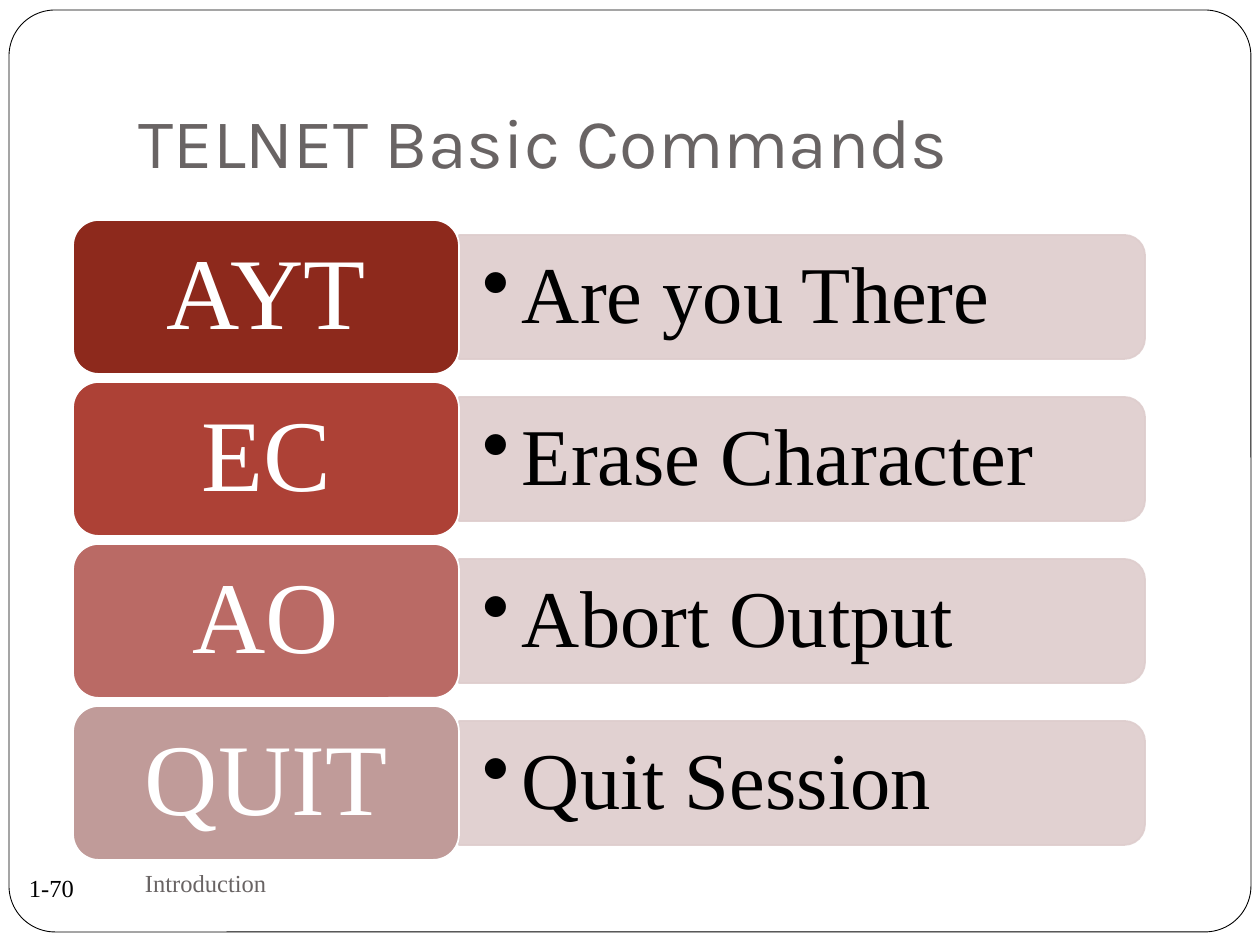
"""Build the TELNET basic commands slide."""
from lxml import etree
from pptx import Presentation
from pptx.dml.color import RGBColor
from pptx.enum.shapes import MSO_SHAPE
from pptx.enum.text import MSO_ANCHOR, PP_ALIGN
from pptx.oxml.ns import qn
from pptx.util import Emu, Pt

ROUNDED = MSO_SHAPE.ROUNDED_RECTANGLE
ROUNDED_END = MSO_SHAPE.ROUND_2_SAME_RECTANGLE
ELLIPSE = MSO_SHAPE.OVAL
MIDDLE, BOTTOM = MSO_ANCHOR.MIDDLE, MSO_ANCHOR.BOTTOM
LEFT, CENTER = PP_ALIGN.LEFT, PP_ALIGN.CENTER

PX = 914400 / 126
THEME = {
    "white": "FFFFFF", "black": "000000", "gray": "696464", "bar": "DECDCD",
    "title_font": "Karla", "body_font": "Times New Roman",
    "title": 40, "label": 58, "meaning": 46, "footer": 14,
}
COMMANDS = [
    ("AYT", "Are you There", "8D291C"),
    ("EC", "Erase Character", "AD4136"),
    ("AO", "Abort Output", "BA6A65"),
    ("QUIT", "Quit Session", "C09B99"),
]
FIRST_CENTER, PITCH = 297, 162
LABEL_LEFT, LABEL_WIDTH, LABEL_HEIGHT = 73, 386, 154
BAR_LEFT, BAR_LENGTH, BAR_HEIGHT = LABEL_LEFT + LABEL_WIDTH, 686, 124
MEANING_WIDTH, MEANING_HEIGHT = 680, 110


def add_box(page, kind, bounds, fill=None, line=None, weight=1):
    place = [Emu(round(value * PX)) for value in bounds]
    if kind is None:
        return page.shapes.add_textbox(*place)
    box = page.shapes.add_shape(kind, *place)
    box.shadow.inherit = False
    if fill:
        box.fill.solid()
        box.fill.fore_color.rgb = RGBColor.from_string(fill)
    else:
        box.fill.background()
    if line:
        box.line.color.rgb = RGBColor.from_string(line)
        box.line.width = Pt(weight)
    else:
        box.line.fill.background()
    return box


def write(box, text, role, color, insets, font="body_font", anchor=MIDDLE,
          align=LEFT, spacing=1.0, wrap=True, hanging=0):
    frame = box.text_frame
    sides = ("margin_left", "margin_top", "margin_right", "margin_bottom")
    layout = {side: Emu(round(value * PX)) for side, value in zip(sides, insets)}
    layout.update(word_wrap=wrap, vertical_anchor=anchor)
    for name, value in layout.items():
        setattr(frame, name, value)
    para = frame.paragraphs[0]
    for name, value in {"alignment": align, "line_spacing": spacing}.items():
        setattr(para, name, value)
    if hanging:
        props = para._p.get_or_add_pPr()
        props.set("marL", str(round(hanging * PX)))
        props.set("indent", str(-round(hanging * PX)))
        etree.SubElement(props, qn("a:buChar"), char="•")
    span = para.add_run()
    span.text = text
    for name, value in {"name": THEME[font], "size": Pt(THEME[role])}.items():
        setattr(span.font, name, value)
    span.font.color.rgb = RGBColor.from_string(THEME[color])


deck = Presentation()
deck.slide_width, deck.slide_height = Emu(round(1260 * PX)), Emu(round(945 * PX))
page = deck.slides.add_slide(deck.slide_layouts[6])

border = add_box(page, ROUNDED, (9, 10, 1242, 922), THEME["white"], THEME["black"], 0.5)
border.adjustments[0] = 0.05

title = add_box(page, None, (126, 38, 1071, 157))
write(title, "TELNET Basic Commands", "title", "gray", (13, 6, 13, 13),
      font="title_font", anchor=BOTTOM)

for row, (command, meaning, color) in enumerate(COMMANDS):
    center = FIRST_CENTER + row * PITCH

    bar = add_box(page, ROUNDED_END,
                  (BAR_LEFT + (BAR_LENGTH - BAR_HEIGHT) / 2, center - BAR_LENGTH / 2,
                   BAR_HEIGHT, BAR_LENGTH), THEME["bar"], THEME["bar"])
    bar.rotation = 90
    for tint in bar._element.spPr.iter(qn("a:srgbClr")):
        etree.SubElement(tint, qn("a:alpha"), val="90000")

    meaning_box = add_box(page, None, (BAR_LEFT, center - MEANING_HEIGHT / 2,
                                       MEANING_WIDTH, MEANING_HEIGHT))
    write(meaning_box, meaning, "meaning", "black", (24, 12, 24, 12),
          spacing=0.9, hanging=39)

    label = add_box(page, ROUNDED, (LABEL_LEFT, center - LABEL_HEIGHT / 2,
                                    LABEL_WIDTH, LABEL_HEIGHT), color, THEME["white"])
    write(label, command, "label", "white", (30, 15, 30, 15),
          align=CENTER, spacing=0.9)

footer = add_box(page, None, (126, 851, 546, 63))
write(footer, "Introduction", "footer", "gray", (19, 6, 13, 6))

number = add_box(page, ELLIPSE, (20, 856, 63, 63))
write(number, "1-70", "footer", "black", (0, 0, 0, 0), align=CENTER, wrap=False)

deck.save("out.pptx")
